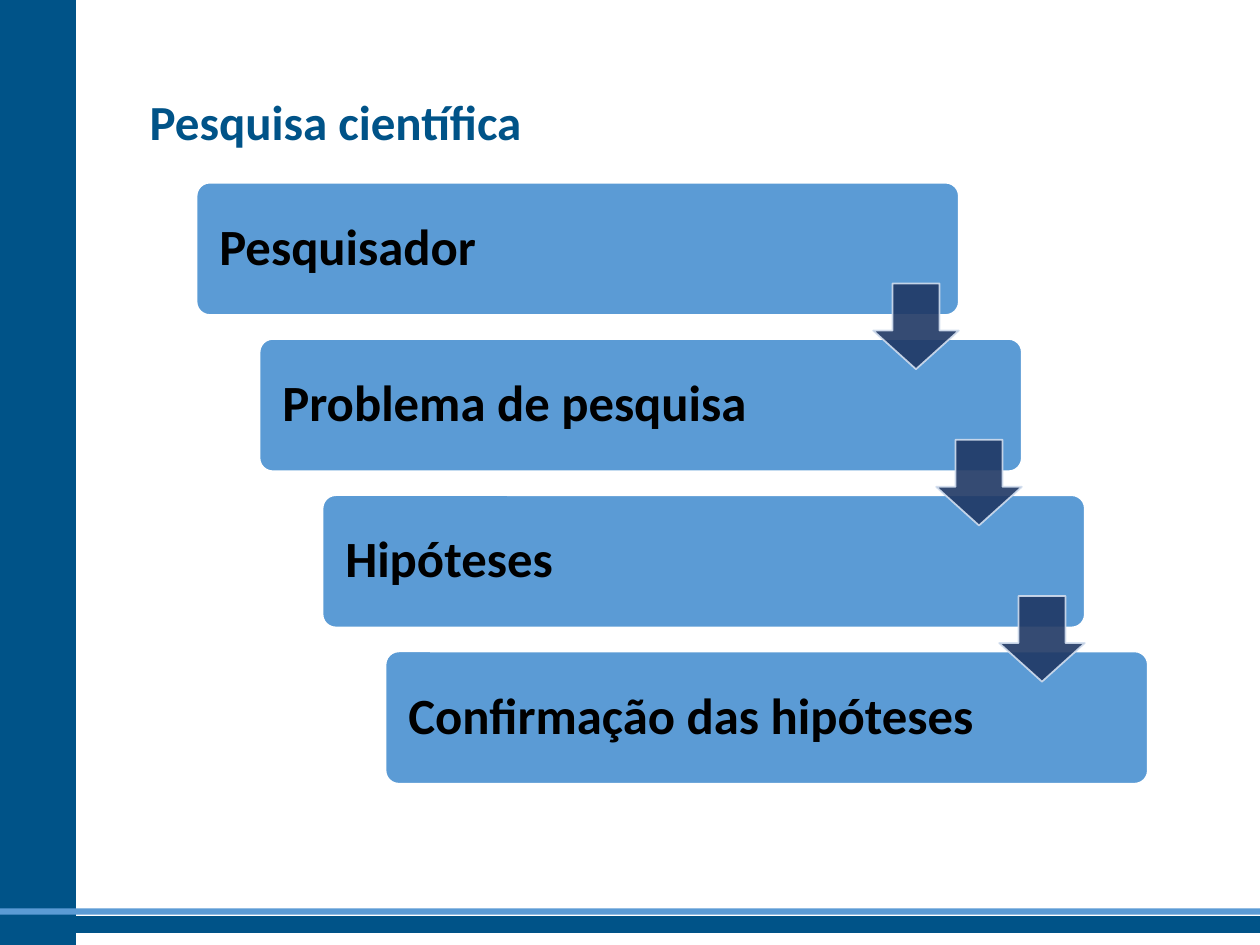
from pptx import Presentation
from pptx.dml.color import RGBColor
from pptx.enum.shapes import MSO_SHAPE
from pptx.enum.text import MSO_ANCHOR, PP_ALIGN
from pptx.oxml.ns import qn
from pptx.util import Inches, Pt
from lxml import etree

RECT = MSO_SHAPE.RECTANGLE
ROUND = MSO_SHAPE.ROUNDED_RECTANGLE
DOWN = MSO_SHAPE.DOWN_ARROW
MIDDLE = MSO_ANCHOR.MIDDLE
LEFT = PP_ALIGN.LEFT

COLORS = {
    "navy": "005388",
    "blue": "5B9BD5",
    "white": "FFFFFF",
    "black": "000000",
    "arrow": "203864",
    "edge": "D2DEEF",
}
STEPS = ["Pesquisador", "Problema de pesquisa", "Hipóteses", "Confirmação das hipóteses"]


class Deck:
    """Holds the style and the current slide."""

    def __init__(self):
        self.show = Presentation()
        self.show.slide_width = Inches(10)
        self.show.slide_height = Inches(7.5)
        self.slide = self.show.slides.add_slide(self.show.slide_layouts[6])
        self.font = "Calibri"

    def color(self, name):
        return RGBColor.from_string(COLORS[name])

    def shape(self, kind, place, fill, line=None, adjust=()):
        shape = self.slide.shapes.add_shape(kind, *map(Inches, place))
        shape.shadow.inherit = False
        shape.fill.solid()
        shape.fill.fore_color.rgb = self.color(fill)
        if line:
            shape.line.color.rgb = self.color(line)
            shape.line.width = Pt(1)
        else:
            shape.line.fill.background()
        for i, value in enumerate(adjust):
            shape.adjustments[i] = value
        return shape

    def label(self, shape, text, size, color, inset):
        frame = shape.text_frame
        frame.word_wrap = True
        frame.vertical_anchor = MIDDLE
        frame.margin_left = frame.margin_right = Inches(inset)
        par = frame.paragraphs[0]
        par.text = text
        par.alignment = LEFT
        par.line_spacing = 0.9
        par.font.name = self.font
        par.font.size = Pt(size)
        par.font.bold = True
        par.font.color.rgb = self.color(color)
        return par

    def title(self, text, place):
        box = self.slide.shapes.add_textbox(*map(Inches, place))
        self.label(box, text, 28, "navy", 0.1).space_before = Pt(10)

    def step(self, text, place):
        box = self.shape(ROUND, place, "blue", "white", [0.1])
        self.label(box, text, 29, "black", 0.15)

    def arrow(self, place):
        arrow = self.shape(DOWN, place, "arrow", "edge", [0.55, 0.45])
        for tint in arrow._element.spPr.iter(qn("a:srgbClr")):
            etree.SubElement(tint, qn("a:alpha")).set("val", "90000")


def main():
    deck = Deck()
    deck.shape(RECT, (0, 0, 0.6, 7.5), "navy", "navy")
    deck.shape(RECT, (0, 7.28, 10, 0.12), "navy", "navy")
    deck.shape(RECT, (0, 7.21, 10, 0.05), "blue")
    deck.title("Pesquisa científica", (1.09, 0.54, 8.63, 0.9))
    spots = [(1.56 + 0.5 * i, 1.45 + 1.24 * i) for i in range(len(STEPS))]
    for text, (left, top) in zip(STEPS, spots):
        deck.step(text, (left, top, 6.05, 1.05))
    for left, top in spots[:-1]:
        deck.arrow((left + 5.37, top + 0.8, 0.68, 0.68))
    deck.show.save("out.pptx")


if __name__ == "__main__":
    main()
